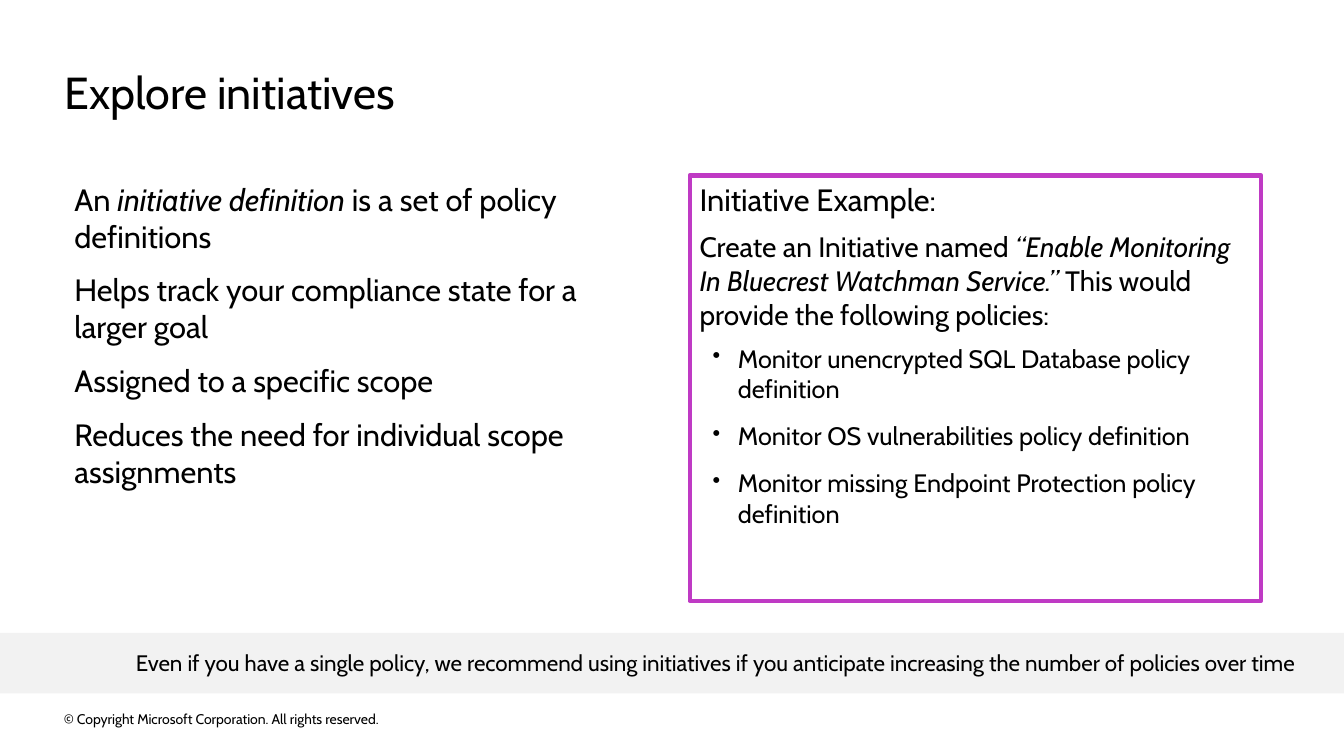
from dataclasses import dataclass
from lxml.etree import SubElement
from pptx import Presentation
from pptx.dml.color import RGBColor
from pptx.enum.shapes import MSO_SHAPE
from pptx.enum.text import MSO_ANCHOR
from pptx.oxml.ns import qn
from pptx.util import Inches, Pt

WIDE, HIGH = Inches(13.33), Inches(7.5)


@dataclass(frozen=True)
class Theme:
    """Hold the colours, font and type sizes."""
    font: str = "Cabin"
    ink: RGBColor = RGBColor(0, 0, 0)
    edge: RGBColor = RGBColor(0xBF, 0x3A, 0xC4)
    band: RGBColor = RGBColor(0xF2, 0xF2, 0xF2)
    title: int = 32
    lead: int = 22
    body: int = 20
    item: int = 18
    note: int = 16
    foot: int = 10


THEME = Theme()


def area(left, top, width, height):
    """Turn percent shares of the slide into lengths."""
    return (int(WIDE * left / 100), int(HIGH * top / 100),
            int(WIDE * width / 100), int(HIGH * height / 100))


def add_rect(slide, place, fill=None, edge=None):
    """Draw a plain rectangle with an optional fill and edge."""
    rect = slide.shapes.add_shape(MSO_SHAPE.RECTANGLE, *area(*place))
    rect.shadow.inherit = False
    if fill is None:
        rect.fill.background()
    else:
        rect.fill.solid()
        rect.fill.fore_color.rgb = fill
    if edge is None:
        rect.line.fill.background()
    else:
        rect.line.color.rgb = edge
        rect.line.width = Pt(3)


def add_text(slide, place, anchor=MSO_ANCHOR.TOP, inset=True):
    """Add a wrapping text box and return its frame."""
    frame = slide.shapes.add_textbox(*area(*place)).text_frame
    frame.word_wrap = True
    frame.vertical_anchor = anchor
    if not inset:
        frame.margin_left = frame.margin_right = 0
        frame.margin_top = frame.margin_bottom = 0
    return frame


def add_bullet(para):
    """Give a paragraph a hanging bullet."""
    props = para._p.get_or_add_pPr()
    props.set("marL", str(Inches(0.38)))
    props.set("indent", str(Inches(-0.25)))
    SubElement(props, qn("a:buSzPct"), val="90000")
    SubElement(props, qn("a:buChar"), char="•")
    tabs = SubElement(props, qn("a:tabLst"))
    SubElement(tabs, qn("a:tab"), pos=str(Inches(0.12)), algn="l")


def add_para(frame, parts, size, after=0, bullet=False):
    """Write a paragraph whose every second part is italic."""
    first = not frame.paragraphs[0].runs
    para = frame.paragraphs[0] if first else frame.add_paragraph()
    para.space_before = Pt(0 if first else 6)
    para.space_after = Pt(after)
    if bullet:
        add_bullet(para)
    para.font.name = THEME.font
    para.font.size = Pt(size)
    para.font.color.rgb = THEME.ink
    for index, part in enumerate(parts):
        run = para.add_run()
        run.text = part
        if index % 2:
            run.font.italic = True


def add_line(slide, place, text, size, anchor=MSO_ANCHOR.MIDDLE):
    """Add one line of text without insets."""
    add_para(add_text(slide, place, anchor, False), [text], size)


def add_points(slide, place):
    """Add the key points about initiatives."""
    frame = add_text(slide, place)
    for parts in (
        ["An ", "initiative definition", " is a set of policy definitions"],
        ["Helps track your compliance state for a larger goal"],
        ["Assigned to a specific scope"],
        ["Reduces the need for individual scope assignments"],
    ):
        add_para(frame, parts, THEME.lead, 6)


def add_sample(slide, place):
    """Add the framed example with its policy list."""
    add_rect(slide, place, edge=THEME.edge)
    frame = add_text(slide, place)
    add_para(frame, ["Initiative Example:"], THEME.lead, 3)
    add_para(frame, [
        "Create an Initiative named ",
        "“Enable Monitoring In Bluecrest Watchman Service.” ",
        "This would provide the following policies:",
    ], THEME.body, 3)
    for topic in ("unencrypted SQL Database", "OS vulnerabilities",
                  "missing Endpoint Protection"):
        add_para(frame, [f"Monitor {topic} policy definition"],
                 THEME.item, 6, True)


def main():
    """Build and save the slide."""
    deck = Presentation()
    deck.slide_width, deck.slide_height = WIDE, HIGH
    slide = deck.slides.add_slide(deck.slide_layouts[6])
    add_line(slide, (4.8, 8.53, 90.32, 7.2), "Explore initiatives",
             THEME.title, MSO_ANCHOR.TOP)
    add_points(slide, (4.8, 23.2, 42.84, 56.27))
    add_sample(slide, (51.31, 23.2, 42.54, 56.27))
    add_rect(slide, (0, 83.73, 100, 8), fill=THEME.band)
    add_line(slide, (10.1, 83.6, 89.9, 8),
             "Even if you have a single policy, we recommend using initiatives "
             "if you anticipate increasing the number of policies over time",
             THEME.note)
    add_line(slide, (4.75, 93.6, 34.06, 2.93),
             "© Copyright Microsoft Corporation. All rights reserved.",
             THEME.foot)
    deck.save("out.pptx")


if __name__ == "__main__":
    main()
